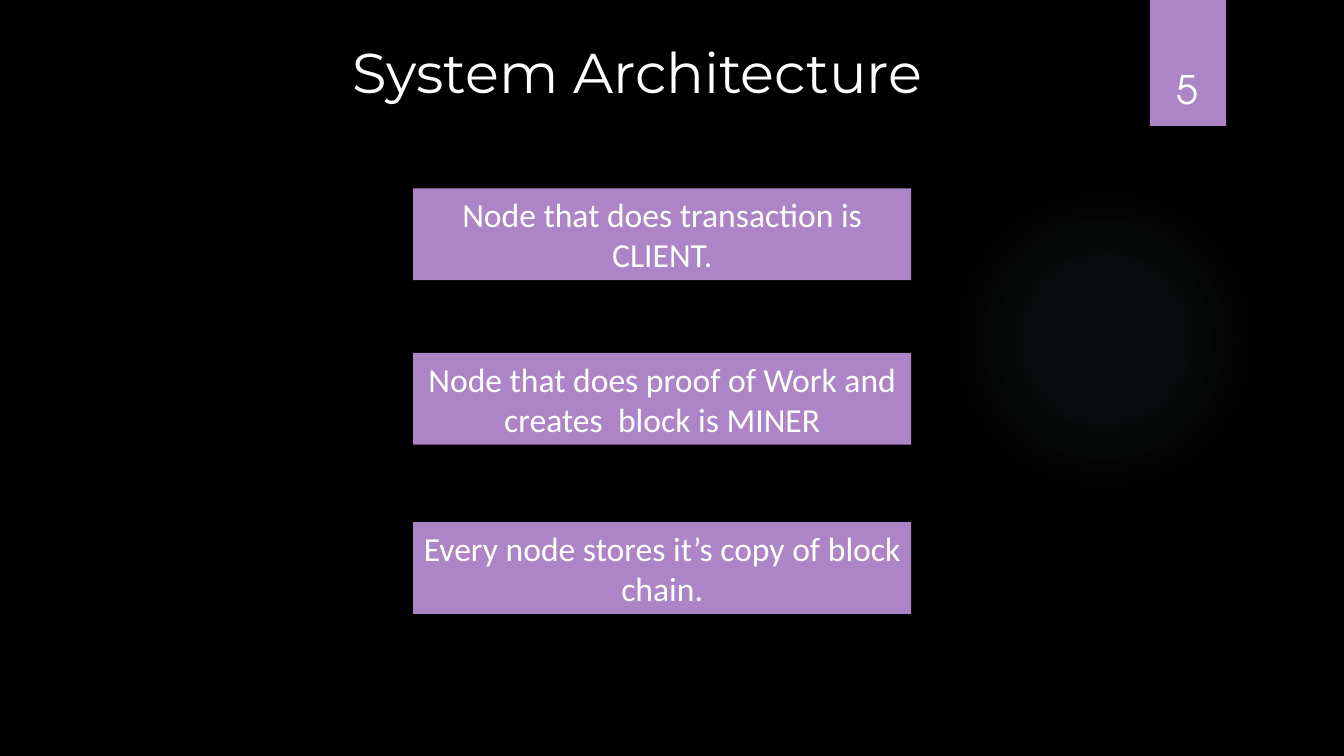
import pptx
import pptx.dml.color
import pptx.enum.shapes
import pptx.enum.text
import pptx.oxml
import pptx.util

PURPLE = "AD84C6"
WHITE = "FFFFFF"
GLOW = "84ACB6"
NAMESPACE = 'xmlns:a="http://schemas.openxmlformats.org/drawingml/2006/main"'
RECTANGLE = pptx.enum.shapes.MSO_SHAPE.RECTANGLE
OVAL = pptx.enum.shapes.MSO_SHAPE.OVAL
CENTER = pptx.enum.text.PP_ALIGN.CENTER
LEFT = pptx.enum.text.PP_ALIGN.LEFT
MIDDLE = pptx.enum.text.MSO_ANCHOR.MIDDLE
BOTTOM = pptx.enum.text.MSO_ANCHOR.BOTTOM
TOP = pptx.enum.text.MSO_ANCHOR.TOP

presentation = pptx.Presentation()
presentation.slide_width = pptx.util.Inches(13.33)
presentation.slide_height = pptx.util.Inches(7.5)
column = presentation.slide_width / 100
row = presentation.slide_height / 100
slide = presentation.slides.add_slide(presentation.slide_layouts[6])


def paint(fill, color):
    fill.solid()
    fill.fore_color.rgb = pptx.dml.color.RGBColor.from_string(color)


def add_block(kind, left, top, width, height, color=PURPLE):
    """Add a shape, or a text box if kind is None, in percent of the slide."""
    place = [round(length) for length in (left * column, top * row, width * column, height * row)]
    if kind is None:
        return slide.shapes.add_textbox(*place)
    shape = slide.shapes.add_shape(kind, *place)
    shape.shadow.inherit = False
    shape.line.fill.background()
    paint(shape.fill, color)
    return shape


paint(slide.background.fill, "000000")

# Soft glow on the right
glow = add_block(OVAL, 70.58, 24.4, 23.1, 41.07, GLOW)
stops = "".join(
    f'<a:gs pos="{position * 1000}"><a:srgbClr val="{GLOW}"><a:alpha val="{opacity * 1000}"/></a:srgbClr></a:gs>'
    for position, opacity in ((0, 7), (36, 6), (69, 0), (100, 0))
)
gradient = pptx.oxml.parse_xml(
    f'<a:gradFill {NAMESPACE} rotWithShape="1"><a:gsLst>{stops}</a:gsLst><a:path path="circle">'
    '<a:fillToRect l="50000" t="50000" r="50000" b="50000"/></a:path></a:gradFill>'
)
solid = glow._element.spPr.find(pptx.oxml.ns.qn("a:solidFill"))
glow._element.spPr.replace(solid, gradient)

# Page tab with a shadow below
tab = add_block(RECTANGLE, 85.58, 0, 5.63, 16.67)
effects = tab._element.spPr.find(pptx.oxml.ns.qn("a:effectLst"))
effects.append(pptx.oxml.parse_xml(
    f'<a:outerShdw {NAMESPACE} blurRad="38100" dist="25400" dir="5400000" rotWithShape="0">'
    '<a:srgbClr val="000000"><a:alpha val="45000"/></a:srgbClr></a:outerShdw>'
))

page_number = add_block(None, 84.9, 4.27, 6.9, 11.2)
title = add_block(None, 25.5, 4.27, 48.98, 10.27)
texts = [
    (page_number, "5", 28, "TeX Gyre Adventor", CENTER, BOTTOM),
    (title, "System Architecture", 40, "Montserrat", LEFT, TOP),
]

node_roles = [
    (24.93, "Node that does transaction is CLIENT."),
    (46.67, "Node that does proof of Work and creates  block is MINER"),
    (69.07, "Every node stores it’s copy of block chain."),
]
for top, role in node_roles:
    box = add_block(RECTANGLE, 30.75, top, 37.05, 12.13)
    texts.append((box, role, 24, "Calibri", CENTER, MIDDLE))

for shape, text, size, font_name, alignment, anchor in texts:
    frame = shape.text_frame
    frame.text = text
    frame.word_wrap = True
    frame.vertical_anchor = anchor
    paragraph = frame.paragraphs[0]
    paragraph.alignment = alignment
    font = paragraph.runs[0].font
    font.size = pptx.util.Pt(size)
    font.name = font_name
    paint(font.fill, WHITE)

presentation.save("out.pptx")
